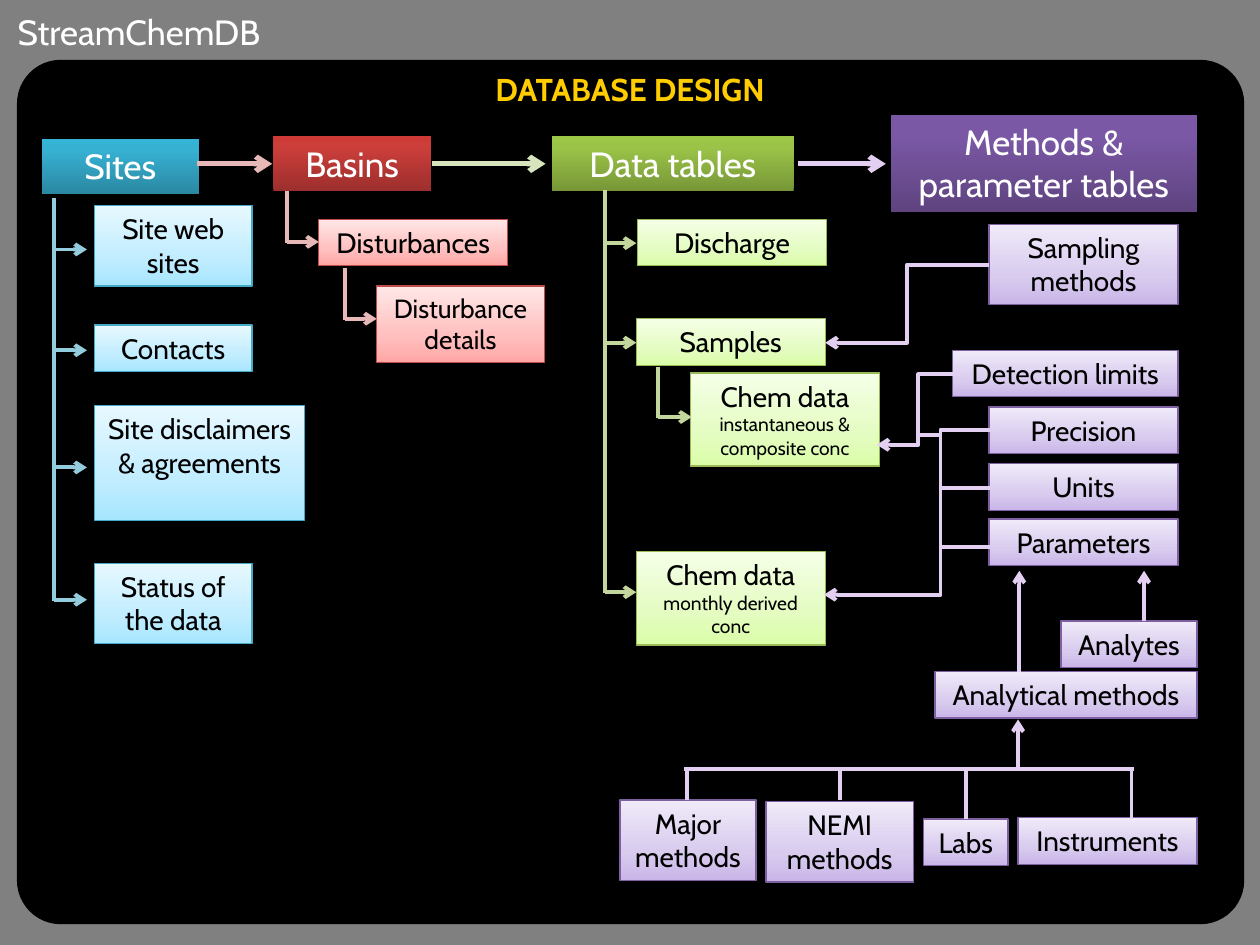
from copy import deepcopy

from pptx import Presentation
from pptx.dml.color import RGBColor
from pptx.enum.shapes import MSO_CONNECTOR, MSO_SHAPE
from pptx.enum.text import MSO_ANCHOR, MSO_AUTO_SIZE, PP_ALIGN
from pptx.oxml.ns import qn
from pptx.oxml.xmlchemy import OxmlElement
from pptx.util import Inches, Pt

RECT, ROUNDED = MSO_SHAPE.RECTANGLE, MSO_SHAPE.ROUNDED_RECTANGLE
STRAIGHT, ELBOW = MSO_CONNECTOR.STRAIGHT, MSO_CONNECTOR.ELBOW
TOP, MIDDLE = MSO_ANCHOR.TOP, MSO_ANCHOR.MIDDLE
LEFT, CENTER = PP_ALIGN.LEFT, PP_ALIGN.CENTER
NO_AUTOFIT = MSO_AUTO_SIZE.NONE

THEME = {
    "font": "Cabin", "background": "808080", "panel": "000000",
    "title": "FFFFFF", "subtitle": "FFCC00", "head_text": "FFFFFF", "item_text": "000000",
    "title_size": 20, "subtitle_size": 18, "head_size": 20, "item_size": 16,
    "detail_size": 15, "note_size": 11, "border": 0.75, "flow": 3, "link": 2.25,
}
# Gradients run from the bottom edge to the top edge.
FAMILIES = {
    "sites": {"head": ("2A88A2", "37B1D2", "34B4D6"), "item": ("A7E6FF", "C1EDFF", "E7F8FF"),
              "border": "46AAC5", "link": "93CDDD"},
    "basins": {"head": ("9C2F2D", "CB3E3A", "CE3B37"), "item": ("FFA6A5", "FFC0BF", "FFE7E7"),
               "border": "BF4C48", "link": "E6B9B8"},
    "data": {"head": ("779737", "9BC348", "9DC746"), "item": ("DAFDA7", "E4FCC2", "F5FFE7"),
             "border": "98B955", "link": "C3D69B"},
    "methods": {"head": ("5F4480", "7B58A6", "7C57A8"), "item": ("C9B5E8", "D8CBEE", "F0EAF9"),
                "border": "7D60A0", "link": "E2CFF1"},
}
ONE_LINE, TWO_LINES, NOTED = 0.37, 0.64, 0.74   # box heights

# text, left, top, width, height
HEADS = {
    "sites": ("Sites", 0.33, 1.1, 1.25, 0.44),
    "basins": ("Basins", 2.17, 1.08, 1.25, 0.44),
    "data": ("Data tables", 4.38, 1.08, 1.92, 0.44),
    "methods": ("Methods & parameter tables", 7.07, 0.91, 2.43, 0.77),
}
ITEMS = {
    "sites": [
        ("Site web sites", 0.75, 1.63, 1.25, TWO_LINES),
        ("Contacts", 0.75, 2.58, 1.25, ONE_LINE),
        ("Site disclaimers & agreements", 0.75, 3.22, 1.67, 0.91),
        ("Status of the data", 0.75, 4.47, 1.25, TWO_LINES),
    ],
    "basins": [("Disturbances", 2.53, 1.74, 1.5, ONE_LINE)],
    "data": [
        ("Discharge", 5.06, 1.74, 1.5, ONE_LINE),
        ("Samples", 5.05, 2.53, 1.5, ONE_LINE),
    ],
    "methods": [
        ("Sampling methods", 7.85, 1.78, 1.5, TWO_LINES),
        ("Detection limits", 7.56, 2.78, 1.79, ONE_LINE),
        ("Precision", 7.85, 3.23, 1.5, ONE_LINE),
        ("Units", 7.85, 3.68, 1.5, ONE_LINE),
        ("Parameters", 7.85, 4.12, 1.5, ONE_LINE),
        ("Analytes", 8.42, 4.93, 1.08, ONE_LINE),
        ("Analytical methods", 7.42, 5.33, 2.08, ONE_LINE),
        ("Major methods", 4.92, 6.35, 1.08, TWO_LINES),
        ("NEMI methods", 6.08, 6.36, 1.17, TWO_LINES),
        ("Labs", 7.33, 6.5, 0.67, ONE_LINE),
        ("Instruments", 8.08, 6.49, 1.42, ONE_LINE),
    ],
}
DISTURBANCE_DETAILS = ("Disturbance details", 2.99, 2.27, 1.33, 0.61)
CHEM_TABLES = [   # note, left, top
    ("instantaneous & composite conc", 5.48, 2.96),
    ("monthly derived conc", 5.05, 4.38),
]
FLOWS = [   # colour, start x, end x
    ("E6B9B8", 1.56, 2.16), ("D7E4BD", 3.43, 4.33), ("E2CFF1", 6.33, 7.03),
]
FLOW_Y = 1.3
TREES = [   # family, trunk x, trunk top, arm end x, arm heights
    ("sites", 0.43, 1.57, 0.69, (1.98, 2.78, 3.71, 4.76)),
    ("basins", 2.28, 1.52, 2.53, (1.92,)),
    ("basins", 2.74, 2.13, 2.99, (2.53,)),
    ("data", 4.8, 1.51, 5.05, (1.93, 2.72, 4.7)),
    ("data", 5.22, 2.91, 5.49, (3.31,)),
]
METHOD_ELBOWS = [   # start, end, position of the bend
    ((7.85, 2.1), (6.55, 2.72), 0.5),
    ((7.62, 2.97), (6.96, 3.53), 0.5),
    ((7.88, 3.41), (6.54, 4.72), 0.31),
]
METHOD_JOINS = [((7.46, 3.87), (7.86, 3.87)), ((7.46, 4.34), (7.86, 4.34)),
                ((7.29, 3.45), (7.46, 3.45))]
METHOD_RISES = [(9.08, 4.93, 4.53), (8.09, 5.33, 4.53), (8.08, 6.11, 5.71)]   # x, from, to
BUS_Y = 6.1
BUS_DROPS = [(5.45, 6.35), (6.67, 6.35), (7.67, 6.5), (8.98, 6.5)]   # x, lower end


def rgb(code):
    return RGBColor.from_string(code)


def write(shape, runs, align=CENTER, anchor=TOP):
    """Fill a shape with one paragraph of (text, size, colour, bold) runs."""
    frame = shape.text_frame
    frame.word_wrap = True
    frame.auto_size = NO_AUTOFIT
    frame.vertical_anchor = anchor
    paragraph = frame.paragraphs[0]
    paragraph.alignment = align
    for text, size, colour, bold in runs:
        run = paragraph.add_run()
        run.text = text
        run.font.name = THEME["font"]
        run.font.size = Pt(size)
        run.font.bold = bold
        run.font.color.rgb = rgb(colour)


def shade(shape, colours, middle):
    shape.fill.gradient()
    shape.fill.gradient_angle = 90
    stop_list = shape.element.spPr.find(qn("a:gradFill")).find(qn("a:gsLst"))
    stop_list.append(deepcopy(stop_list[-1]))
    for stop, colour, position in zip(shape.fill.gradient_stops, colours, (0, middle, 1)):
        stop.color.rgb = rgb(colour)
        stop.position = position


def add_box(slide, place, family, runs, head=False):
    box = slide.shapes.add_shape(RECT, *map(Inches, place))
    box.shadow.inherit = False
    if head:
        shade(box, FAMILIES[family]["head"], 0.8)
        box.line.fill.background()
    else:
        shade(box, FAMILIES[family]["item"], 0.35)
        box.line.color.rgb = rgb(FAMILIES[family]["border"])
        box.line.width = Pt(THEME["border"])
    write(box, runs)
    return box


def add_link(slide, start, end, colour, width=THEME["link"], arrow=False, bend=None):
    kind = STRAIGHT if bend is None else ELBOW
    link = slide.shapes.add_connector(kind, *map(Inches, start + end))
    link.line.color.rgb = rgb(colour)
    link.line.width = Pt(width)
    properties = link.element.spPr
    if arrow:
        tip = OxmlElement("a:tailEnd")
        tip.set("type", "arrow")
        properties.find(qn("a:ln")).append(tip)
    if bend is not None:
        guide = OxmlElement("a:gd")
        guide.set("name", "adj1")
        guide.set("fmla", f"val {round(bend * 100000)}")
        properties.find(qn("a:prstGeom")).find(qn("a:avLst")).append(guide)
    properties.append(OxmlElement("a:effectLst"))


def add_frame(slide):
    slide.background.fill.solid()
    slide.background.fill.fore_color.rgb = rgb(THEME["background"])
    panel = slide.shapes.add_shape(ROUNDED, *map(Inches, (0.14, 0.48, 9.73, 6.85)))
    panel.adjustments[0] = 0.05
    panel.shadow.inherit = False
    panel.fill.solid()
    panel.fill.fore_color.rgb = panel.line.color.rgb = rgb(THEME["panel"])
    panel.line.width = Pt(THEME["border"])
    title = slide.shapes.title
    title.left, title.top, title.width, title.height = map(Inches, (0.04, 0.03, 9.92, 0.44))
    write(title, [("StreamChemDB", THEME["title_size"], THEME["title"], False)], LEFT, MIDDLE)
    subtitle = slide.shapes.add_textbox(*map(Inches, (1.79, 0.51, 6.42, 0.4)))
    write(subtitle, [("DATABASE DESIGN", THEME["subtitle_size"], THEME["subtitle"], True)])


def add_tables(slide):
    ink, size = THEME["item_text"], THEME["item_size"]
    for family, (text, *place) in HEADS.items():
        run = (text, THEME["head_size"], THEME["head_text"], False)
        add_box(slide, place, family, [run], head=True)
    for family, items in ITEMS.items():
        for text, *place in items:
            add_box(slide, place, family, [(text, size, ink, False)])
    text, *place = DISTURBANCE_DETAILS
    details = add_box(slide, place, "basins", [(text, THEME["detail_size"], ink, False)])
    details.text_frame.margin_left = details.text_frame.margin_right = Inches(0.05)
    for note, left, top in CHEM_TABLES:
        runs = [("Chem data ", size, ink, False), (note, THEME["note_size"], ink, False)]
        add_box(slide, (left, top, 1.5, NOTED), "data", runs)


def add_links(slide):
    for colour, start, end in FLOWS:
        add_link(slide, (start, FLOW_Y), (end, FLOW_Y), colour, THEME["flow"], arrow=True)
    for family, x, top, arm_end, arms in TREES:
        colour = FAMILIES[family]["link"]
        add_link(slide, (x, top), (x, arms[-1] + 0.01), colour)
        for y in arms:
            add_link(slide, (x, y), (arm_end, y), colour, arrow=True)
    colour = FAMILIES["methods"]["link"]
    for start, end, bend in METHOD_ELBOWS:
        add_link(slide, start, end, colour, arrow=True, bend=bend)
    for start, end in METHOD_JOINS:
        add_link(slide, start, end, colour)
    for x, start, end in METHOD_RISES:
        add_link(slide, (x, start), (x, end), colour, arrow=True)
    add_link(slide, (5.43, BUS_Y), (9, BUS_Y), colour)
    for x, end in BUS_DROPS:
        add_link(slide, (x, BUS_Y), (x, end), colour)


def main():
    deck = Presentation()
    deck.slide_width, deck.slide_height = Inches(10), Inches(7.5)
    slide = deck.slides.add_slide(deck.slide_layouts[5])
    add_frame(slide)
    add_tables(slide)
    add_links(slide)
    deck.save("out.pptx")


if __name__ == "__main__":
    main()
